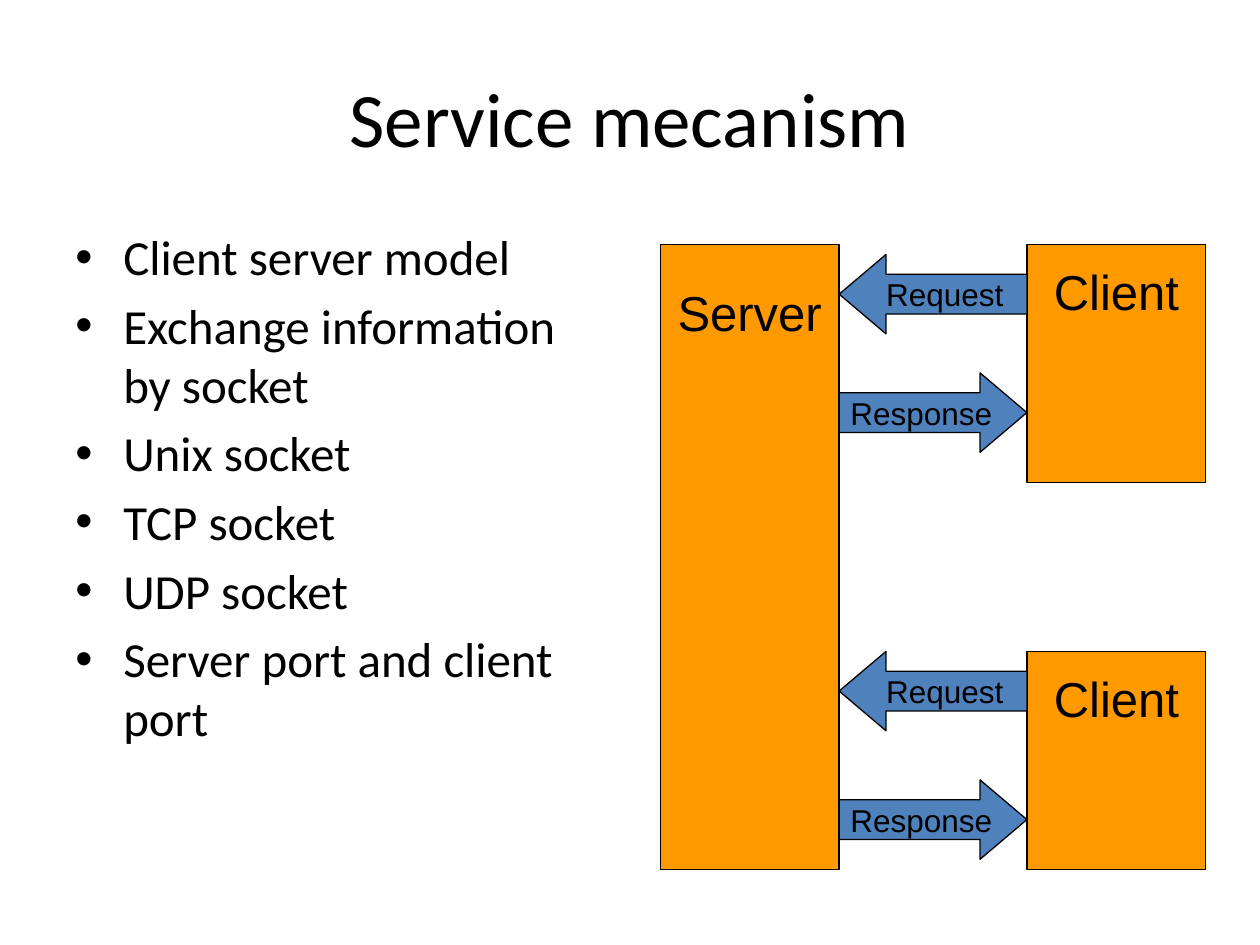
from lxml import etree
from pptx import Presentation
from pptx.dml.color import RGBColor
from pptx.enum.shapes import MSO_SHAPE
from pptx.enum.text import MSO_ANCHOR, PP_ALIGN
from pptx.oxml.ns import qn
from pptx.util import Inches, Pt

RECTANGLE = MSO_SHAPE.RECTANGLE
LEFT_ARROW = MSO_SHAPE.LEFT_ARROW
RIGHT_ARROW = MSO_SHAPE.RIGHT_ARROW
TOP, MIDDLE = MSO_ANCHOR.TOP, MSO_ANCHOR.MIDDLE
LEFT, CENTER = PP_ALIGN.LEFT, PP_ALIGN.CENTER

BLACK = RGBColor(0x00, 0x00, 0x00)
ORANGE = RGBColor(0xFF, 0x99, 0x00)
BLUE = RGBColor(0x4F, 0x81, 0xBD)

WIDTH, HEIGHT = 10, 7.5
MARGIN = 0.05 * WIDTH
BULLET_INDENT = 0.38
SERVER_LEFT, CLIENT_LEFT = 5.24, 8.15
NODE_WIDTH = 1.42
NODE_TOP, NODE_BOTTOM = 1.94, 6.9
LABEL_OVERHANG = 0.08
ARROW_LEFT = SERVER_LEFT + NODE_WIDTH
ARROW_WIDTH = CLIENT_LEFT - ARROW_LEFT
ARROW_HEIGHT = 0.63
CLIENTS = [(NODE_TOP, 1.89, 2.02, 2.96), (5.17, 1.73, 5.17, 6.19)]
TOPICS = [
    "Client server model",
    "Exchange information by socket",
    "Unix socket",
    "TCP socket",
    "UDP socket",
    "Server port and client port",
]


def write(frame, lines, *, size, font="Arial", align=CENTER, anchor=TOP,
          wrap=True, bullet=None, before=0):
    frame.word_wrap = wrap
    frame.vertical_anchor = anchor
    for index, line in enumerate(lines):
        para = frame.paragraphs[0] if index == 0 else frame.add_paragraph()
        para.alignment = align
        para.space_before = Pt(before)
        span = para.add_run()
        span.text = line
        span.font.size = Pt(size)
        span.font.name = font
        span.font.color.rgb = BLACK
        if bullet:
            add_bullet(para, bullet)


def add_bullet(para, symbol):
    properties = para._p.get_or_add_pPr()
    indent = Inches(BULLET_INDENT)
    properties.set("marL", str(indent))
    properties.set("indent", str(-indent))
    font = etree.SubElement(properties, qn("a:buFont"))
    font.set("typeface", "Arial")
    mark = etree.SubElement(properties, qn("a:buChar"))
    mark.set("char", symbol)


def add_text(shapes, lines, left, top, width, height, **style):
    box = shapes.add_textbox(*map(Inches, (left, top, width, height)))
    write(box.text_frame, lines, **style)


def add_solid(shapes, kind, left, top, width, height, color):
    solid = shapes.add_shape(kind, *map(Inches, (left, top, width, height)))
    solid.shadow.inherit = False
    solid.fill.solid()
    solid.fill.fore_color.rgb = color
    solid.line.color.rgb = BLACK
    solid.line.width = Pt(0.75)
    return solid


def add_node(page, name, left, top, height, label_drop):
    shapes = page.shapes.add_group_shape().shapes
    add_solid(shapes, RECTANGLE, left, top, NODE_WIDTH, height, ORANGE)
    add_text(shapes, [name], left - LABEL_OVERHANG, top + label_drop,
             NODE_WIDTH + 2 * LABEL_OVERHANG, 0.57, size=28)


def add_arrow(page, kind, name, top):
    arrow = add_solid(page.shapes, kind, ARROW_LEFT, top, ARROW_WIDTH, ARROW_HEIGHT, BLUE)
    arrow.adjustments[0] = 0.5
    arrow.adjustments[1] = 0.59
    write(arrow.text_frame, [name], size=18, anchor=MIDDLE, wrap=False)


def main():
    deck = Presentation()
    deck.slide_width, deck.slide_height = Inches(WIDTH), Inches(HEIGHT)
    page = deck.slides.add_slide(deck.slide_layouts[6])
    add_text(page.shapes, ["Service mecanism"], MARGIN, 0.04 * HEIGHT,
             WIDTH - 2 * MARGIN, HEIGHT / 6, size=44, font="Calibri", anchor=MIDDLE)
    add_text(page.shapes, TOPICS, MARGIN, 1.75, 4.42, 0.66 * HEIGHT,
             size=28, font="Calibri", align=LEFT, bullet="•", before=5.6)
    add_node(page, "Server", SERVER_LEFT, NODE_TOP, NODE_BOTTOM - NODE_TOP, 0.25)
    for top, height, request_top, response_top in CLIENTS:
        add_node(page, "Client", CLIENT_LEFT, top, height, 0.09)
        add_arrow(page, LEFT_ARROW, "Request", request_top)
        add_arrow(page, RIGHT_ARROW, "Response", response_top)
    deck.save("out.pptx")


if __name__ == "__main__":
    main()
